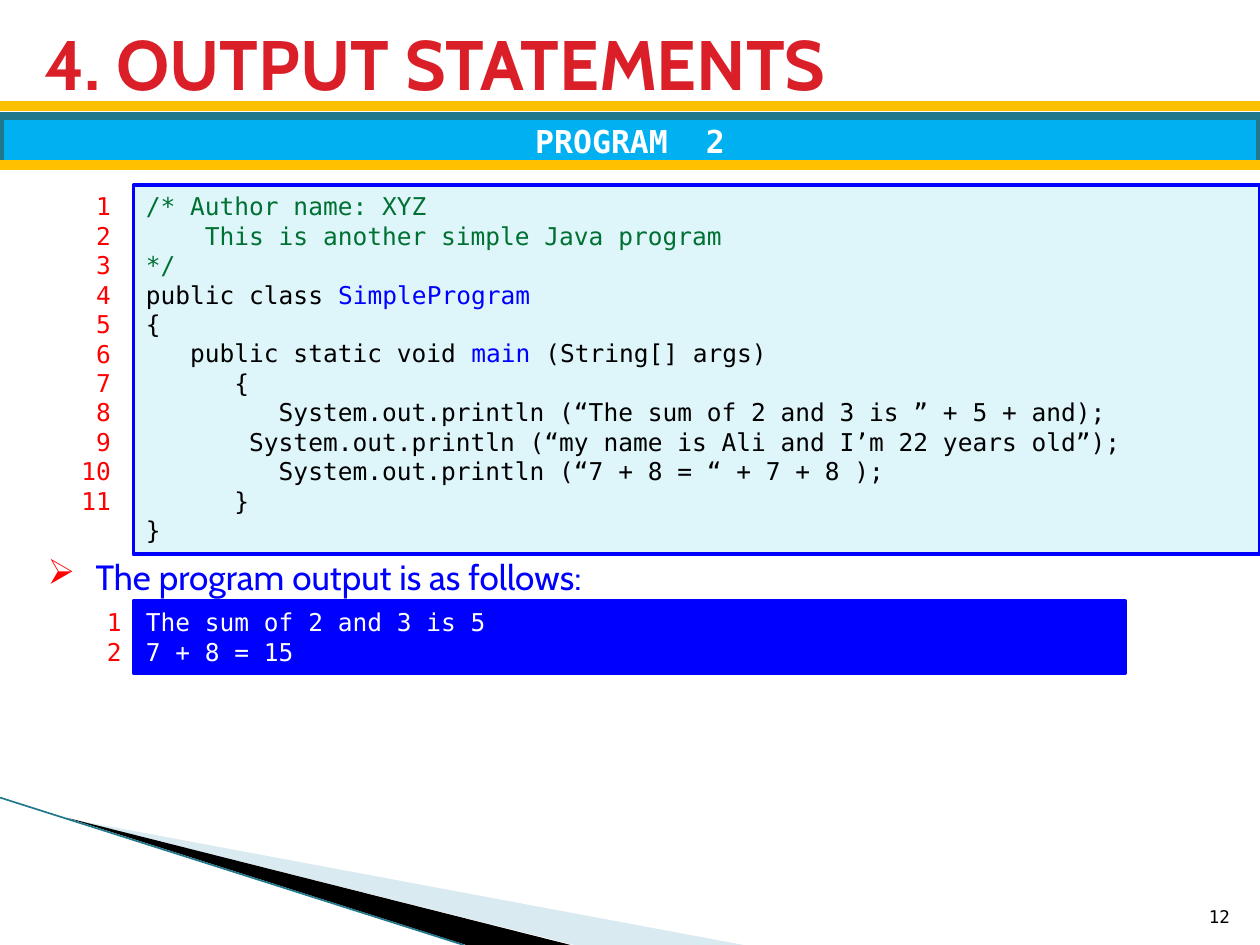
import pptx
import pptx.util
import pptx.dml.color
import pptx.enum.shapes
import pptx.enum.text
import pptx.oxml.ns
from lxml import etree

Inches = pptx.util.Inches
Pt = pptx.util.Pt
RGBColor = pptx.dml.color.RGBColor
ALIGN = pptx.enum.text.PP_ALIGN
ANCHOR = pptx.enum.text.MSO_ANCHOR
qn = pptx.oxml.ns.qn

RED = RGBColor(0xFF, 0x00, 0x00)
TITLE_RED = RGBColor(0xDA, 0x1F, 0x28)
BLUE = RGBColor(0x00, 0x00, 0xFF)
GREEN = RGBColor(0x00, 0x70, 0x33)
BLACK = RGBColor(0x00, 0x00, 0x00)
WHITE = RGBColor(0xFF, 0xFF, 0xFF)
GOLD = RGBColor(0xFF, 0xC0, 0x00)
SKY = RGBColor(0x00, 0xB0, 0xF0)
TEAL = RGBColor(0x21, 0x78, 0x8D)
CODE_FILL = RGBColor(0xDE, 0xF5, 0xFA)
SWOOSH = RGBColor(0xA0, 0xCB, 0xDC)

SANS, MONO = "Cabin", "DejaVu Sans Mono"

# Each code line is a list of (text, colour) runs
CODE = [
    [("/* Author name: XYZ", GREEN)],
    [("    This is another simple Java program", GREEN)],
    [("*/", GREEN)],
    [("public class ", BLACK), ("SimpleProgram", BLUE)],
    [("{", BLACK)],
    [("   public static void ", BLACK), ("main ", BLUE), ("(String[] args)", BLACK)],
    [("      {", BLACK)],
    [("         System.out.println (“The sum of 2 and 3 is ” + 5 + and);", BLACK)],
    [("       System.out.println (“my name is Ali and I’m 22 years old”);", BLACK)],
    [("         System.out.println (“7 + 8 = “ + 7 + 8 );", BLACK)],
    [("      }", BLACK)],
    [("}", BLACK)],
]
OUTPUT = ["The sum of 2 and 3 is 5", "7 + 8 = 15"]


def one_color(lines, color):
    return [[(str(line), color)] for line in lines]


def write(sp, lines, size, font=MONO, bold=False, align=ALIGN.LEFT, anchor=ANCHOR.TOP):
    tf = sp.text_frame
    tf.word_wrap = True
    tf.auto_size = pptx.enum.text.MSO_AUTO_SIZE.NONE
    tf.vertical_anchor = anchor
    for i, runs in enumerate(lines):
        p = tf.add_paragraph() if i else tf.paragraphs[0]
        p.alignment = align
        for text, color in runs:
            r = p.add_run()
            r.text = text
            r.font.name = font
            r.font.size = Pt(size)
            r.font.bold = bold
            r.font.color.rgb = color


def add_text(s, x, y, w, h, lines, size, **style):
    sp = s.shapes.add_textbox(Inches(x), Inches(y), Inches(w), Inches(h))
    write(sp, lines, size, **style)
    return sp


def add_box(s, x, y, w, h, fill, line, width, lines, size, **style):
    sp = s.shapes.add_shape(pptx.enum.shapes.MSO_SHAPE.RECTANGLE,
                            Inches(x), Inches(y), Inches(w), Inches(h))
    sp.shadow.inherit = False
    sp.fill.solid()
    sp.fill.fore_color.rgb = fill
    sp.line.color.rgb = line
    sp.line.width = Pt(width)
    write(sp, lines, size, **style)


def add_line(s, x1, y1, x2, y2, color, width):
    c = s.shapes.add_connector(pptx.enum.shapes.MSO_CONNECTOR.STRAIGHT,
                               Inches(x1), Inches(y1), Inches(x2), Inches(y2))
    c.line.color.rgb = color
    c.line.width = Pt(width)
    etree.SubElement(c._element.spPr, qn("a:effectLst"))


def add_wedge(s, points, color, opacity=100):
    start, *rest = [(Inches(x), Inches(y)) for x, y in points]
    fb = s.shapes.build_freeform(*start, scale=1.0)
    fb.add_line_segments(rest, close=True)
    sp = fb.convert_to_shape()
    sp.shadow.inherit = False
    sp.line.fill.background()
    sp.fill.solid()
    sp.fill.fore_color.rgb = color
    if opacity < 100:
        clr = sp._element.spPr.find(qn("a:solidFill"))[0]
        etree.SubElement(clr, qn("a:alpha"), val=str(opacity * 1000))


def add_bullet(p, char, color, indent):
    pPr = p._p.get_or_add_pPr()
    pPr.set("marL", str(Inches(indent)))
    pPr.set("indent", str(-Inches(indent)))
    bu_clr = etree.SubElement(pPr, qn("a:buClr"))
    etree.SubElement(bu_clr, qn("a:srgbClr"), val=str(color))
    etree.SubElement(pPr, qn("a:buChar"), char=char)


def set_title(s, text):
    sp = s.shapes.title
    sp.left, sp.top, sp.width, sp.height = map(Inches, (0.25, 0.17, 9.47, 0.65))
    write(sp, one_color([text], TITLE_RED), 40, font=SANS, bold=True, anchor=ANCHOR.MIDDLE)


def main():
    prs = pptx.Presentation()
    prs.slide_width, prs.slide_height = Inches(10), Inches(7.5)
    s = prs.slides.add_slide(prs.slide_layouts[5])

    # Corner decoration
    add_wedge(s, [(0.55, 6.5), (5.9, 7.5), (4.56, 7.5)], SWOOSH, opacity=40)
    add_wedge(s, [(0.53, 6.49), (4.53, 7.5), (3.7, 7.5)], BLACK)
    add_line(s, 0, 6.33, 3.68, 7.5, TEAL, 0.95)

    # Title and program band
    set_title(s, "4. OUTPUT STATEMENTS")
    add_line(s, 0, 0.84, 10, 0.84, GOLD, 6)
    add_box(s, 0, 0.92, 10, 0.39, SKY, TEAL, 4.33, one_color(["PROGRAM  2"], WHITE), 18,
            bold=True, align=ALIGN.CENTER, anchor=ANCHOR.MIDDLE)
    add_line(s, 0, 1.31, 10, 1.31, GOLD, 6)

    # Code listing with line numbers
    add_box(s, 1.06, 1.47, 8.94, 2.93, CODE_FILL, BLUE, 2.25, CODE, 14)
    add_text(s, 0.51, 1.47, 0.47, 2.69, one_color(range(1, 12), RED), 14, align=ALIGN.RIGHT)

    # Program output
    sp = add_text(s, 0.28, 4.36, 9.45, 0.44,
                  one_color(["The program output is as follows:"], BLUE), 20, font=SANS)
    add_bullet(sp.text_frame.paragraphs[0], "➢", RED, 0.38)
    add_box(s, 1.06, 4.77, 7.87, 0.57, BLUE, BLUE, 2.25, one_color(OUTPUT, WHITE), 14)
    add_text(s, 0.75, 4.77, 0.24, 0.57, one_color(range(1, 3), RED), 14)

    # Slide number
    add_text(s, 9.46, 7.01, 0.4, 0.4, one_color([12], BLACK), 10,
             align=ALIGN.RIGHT, anchor=ANCHOR.BOTTOM)

    prs.save("out.pptx")


if __name__ == "__main__":
    main()
